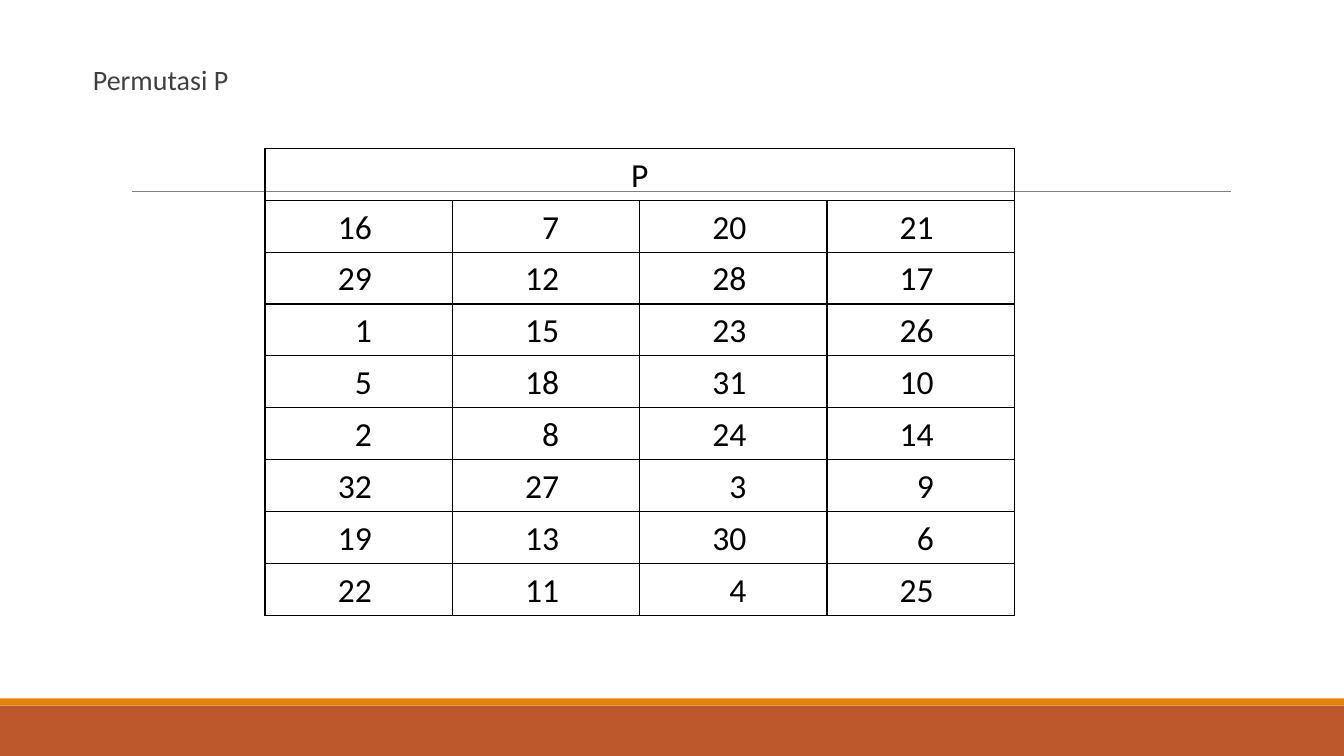
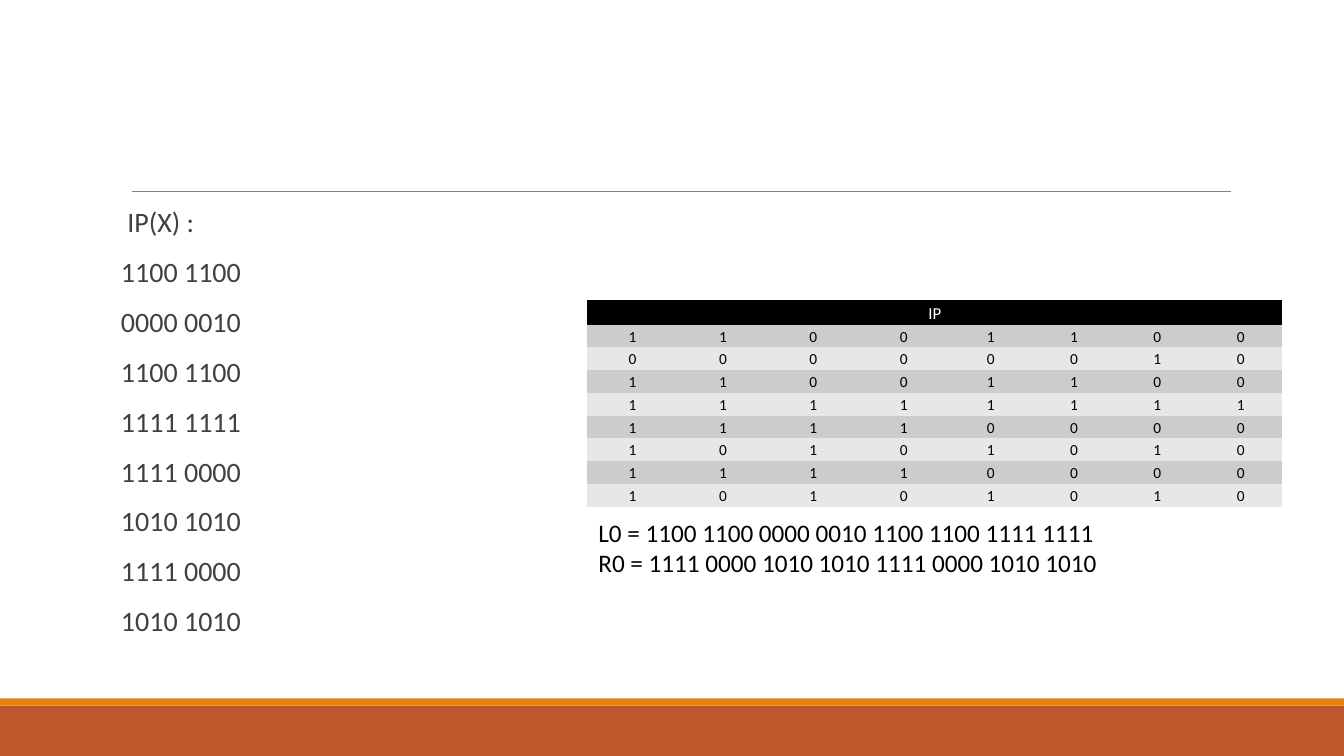
"""Two slides on the initial and P permutations of a block cipher."""
import dataclasses

import lxml.etree
import pptx
import pptx.dml.color
import pptx.enum.shapes
import pptx.enum.text
import pptx.oxml.ns
import pptx.util

Cm = pptx.util.Cm
Pt = pptx.util.Pt
Align = pptx.enum.text.PP_ALIGN
Anchor = pptx.enum.text.MSO_ANCHOR
TITLE_ONLY, BLANK = 5, 6
PLAIN_TABLE = "{2D5ABB26-0587-4C30-8999-92F81FD0307C}"


@dataclasses.dataclass(frozen=True)
class Theme:
    """Colours, font and type sizes shared by the slides."""
    font: str = "Calibri"
    black: str = "000000"
    white: str = "FFFFFF"
    body: str = "404040"
    rule: str = "808080"
    band: str = "BD582C"
    accent: str = "E48312"
    stripes: tuple = ("CCCCCC", "E7E7E7")
    body_size: int = 20
    grid_size: int = 24
    note_size: int = 18
    header_size: int = 12
    bit_size: int = 11


@dataclasses.dataclass(frozen=True)
class Box:
    """A region in centimetres."""
    left: float
    top: float
    width: float
    height: float

    def lengths(self):
        """Return left, top, width and height as lengths."""
        return [Cm(value) for value in dataclasses.astuple(self)]


THEME = Theme()
PAGE = Box(0, 0, 33.87, 19.05)
BODY_PARAGRAPH = {"alignment": Align.LEFT, "line_spacing": 0.9,
                  "space_before": Pt(12), "space_after": Pt(2)}
BODY_FRAME = {"margin_left": 0, "margin_right": 0, "margin_top": Cm(0.13),
              "margin_bottom": Cm(0.13), "word_wrap": True,
              "vertical_anchor": Anchor.TOP,
              "auto_size": pptx.enum.text.MSO_AUTO_SIZE.NONE}
CELL_FORMAT = {"margin_left": Cm(0.03), "margin_right": Cm(0.03),
               "margin_top": Cm(0.03), "margin_bottom": Cm(0.03),
               "vertical_anchor": Anchor.MIDDLE}
CELL_PARAGRAPH = {"alignment": Align.CENTER, "line_spacing": 1.07}


def apply_format(target, values):
    """Set every attribute in values on the target."""
    for name, value in values.items():
        setattr(target, name, value)


def paint(fill, color):
    """Make a fill solid in the given colour."""
    fill.solid()
    fill.fore_color.rgb = pptx.dml.color.RGBColor.from_string(color)


def write(frame, lines, size, color, paragraph_format):
    """Fill a text frame with one formatted paragraph per line."""
    frame.text = "\n".join(lines)
    for paragraph in frame.paragraphs:
        apply_format(paragraph, paragraph_format)
        for run in paragraph.runs:
            apply_format(run.font, {"name": THEME.font, "size": Pt(size), "bold": False})
            paint(run.font.fill, color)


def add_frame(slide, box):
    """Draw the two footer bands and the rule, relative to the page box."""
    for top, height, color in ((17.78, 1.27, THEME.band), (17.6, 0.18, THEME.accent)):
        band_box = Box(box.left, box.top + top, box.width, height)
        band = slide.shapes.add_shape(
            pptx.enum.shapes.MSO_SHAPE.RECTANGLE, *band_box.lengths())
        band.shadow.inherit = False
        paint(band.fill, color)
        band.line.fill.background()
    rule_top = Cm(box.top + 4.83)
    rule = slide.shapes.add_connector(
        pptx.enum.shapes.MSO_CONNECTOR.STRAIGHT,
        Cm(box.left + 3.33), rule_top, Cm(box.left + 31.01), rule_top)
    rule.line.width = Pt(0.5)
    paint(rule.line.fill, THEME.rule)
    lxml.etree.SubElement(rule.element.spPr, pptx.oxml.ns.qn("a:effectLst"))


def add_text(slide, box, lines, size, color, paragraph_format, frame_format):
    """Add a wrapped text box."""
    text_box = slide.shapes.add_textbox(*box.lengths())
    apply_format(text_box.text_frame, frame_format)
    write(text_box.text_frame, lines, size, color, paragraph_format)


def place_title(slide, box, text):
    """Move and format the title placeholder."""
    title = slide.shapes.title
    apply_format(title, dict(zip(("left", "top", "width", "height"), box.lengths())))
    apply_format(title.text_frame, BODY_FRAME)
    write(title.text_frame, [text], THEME.body_size, THEME.body, BODY_PARAGRAPH)


def outline(cell):
    """Give a cell black one-point borders on all sides."""
    properties = cell._tc.get_or_add_tcPr()
    for side in ("lnL", "lnR", "lnT", "lnB"):
        border = lxml.etree.SubElement(
            properties, pptx.oxml.ns.qn(f"a:{side}"), w=str(Pt(1)))
        fill = lxml.etree.SubElement(border, pptx.oxml.ns.qn("a:solidFill"))
        lxml.etree.SubElement(fill, pptx.oxml.ns.qn("a:srgbClr"), val=THEME.black)


def add_grid(slide, box, header, rows, widths, header_height):
    """Add an unstyled table with a merged header row and return it."""
    graphic_frame = slide.shapes.add_table(len(rows) + 1, len(widths), *box.lengths())
    graphic_frame.element.xpath(".//a:tableStyleId")[0].text = PLAIN_TABLE
    table = graphic_frame.table
    for column, width in zip(table.columns, widths):
        column.width = Cm(width)
    row_height = (box.height - header_height) / len(rows)
    for index, row in enumerate(table.rows):
        row.height = Cm(row_height if index else header_height)
    for cell in table.iter_cells():
        apply_format(cell, CELL_FORMAT)
    table.cell(0, 0).merge(table.cell(0, len(widths) - 1))
    table.cell(0, 0).text = header
    for row_index, values in enumerate(rows, 1):
        for column_index, value in enumerate(values):
            table.cell(row_index, column_index).text = str(value)
    return table


def add_permutation_table(slide, box, header, rows):
    """Add an outlined table whose numbers line up on their last digit."""
    columns = len(rows[0])
    table = add_grid(slide, box, header, rows, [box.width / columns] * columns,
                     box.height / (len(rows) + 1))
    for cell in table.iter_cells():
        outline(cell)
        cell.fill.background()
        paragraph_format = dict(CELL_PARAGRAPH)
        if cell.text != header:
            paragraph_format["alignment"] = Align.RIGHT
            cell.margin_right = Cm(2.03)
        write(cell.text_frame, [cell.text], THEME.grid_size, THEME.black, paragraph_format)


def add_bit_table(slide, box, header, rows):
    """Add a striped table of bits under a black header."""
    table = add_grid(slide, box, header, rows, [2.28] * 4 + [2.1] * 4, 0.6)
    for index, row in enumerate(table.rows):
        if index:
            fill, color, size = THEME.stripes[(index - 1) % 2], THEME.black, THEME.bit_size
        else:
            fill, color, size = THEME.black, THEME.white, THEME.header_size
        for cell in row.cells:
            paint(cell.fill, fill)
            write(cell.text_frame, [cell.text], size, color, CELL_PARAGRAPH)


def build_permutation_slide(presentation, box):
    """Build the slide with the P permutation table."""
    slide = presentation.slides.add_slide(presentation.slide_layouts[TITLE_ONLY])
    add_frame(slide, box)
    place_title(slide, Box(box.left + 2.34, box.top + 1.55, 29.21, 1.2), "Permutasi P")
    rows = [(16, 7, 20, 21), (29, 12, 28, 17), (1, 15, 23, 26), (5, 18, 31, 10),
            (2, 8, 24, 14), (32, 27, 3, 9), (19, 13, 30, 6), (22, 11, 4, 25)]
    add_permutation_table(
        slide, Box(box.left + 6.68, box.top + 3.74, 18.88, 11.77), "P", rows)


def build_initial_slide(presentation, box):
    """Build the slide with the permuted bits and their two halves."""
    slide = presentation.slides.add_slide(presentation.slide_layouts[BLANK])
    add_frame(slide, box)
    block = ["1100 1100", "0000 0010", "1100 1100", "1111 1111",
             "1111 0000", "1010 1010", "1111 0000", "1010 1010"]
    add_text(slide, Box(box.left + 3.05, box.top + 5.13, 27.94, 11.18),
             [" IP(X) :"] + block, THEME.body_size, THEME.body,
             BODY_PARAGRAPH, BODY_FRAME)
    add_bit_table(slide, Box(box.left + 14.8, box.top + 7.57, 17.52, 5.16), "IP",
                  [line.replace(" ", "") for line in block])
    halves = [f"L0 = {' '.join(block[:4])}", f"R0 = {' '.join(block[4:])}"]
    add_text(slide, Box(box.left + 14.83, box.top + 12.9, 17.53, 2.57), halves,
             THEME.note_size, THEME.black, {"alignment": Align.LEFT}, {"word_wrap": True})


def main():
    """Build and save the presentation."""
    presentation = pptx.Presentation()
    presentation.slide_width, presentation.slide_height = PAGE.lengths()[2:]
    build_permutation_slide(presentation, PAGE)
    build_initial_slide(presentation, PAGE)
    presentation.save("out.pptx")


main()
